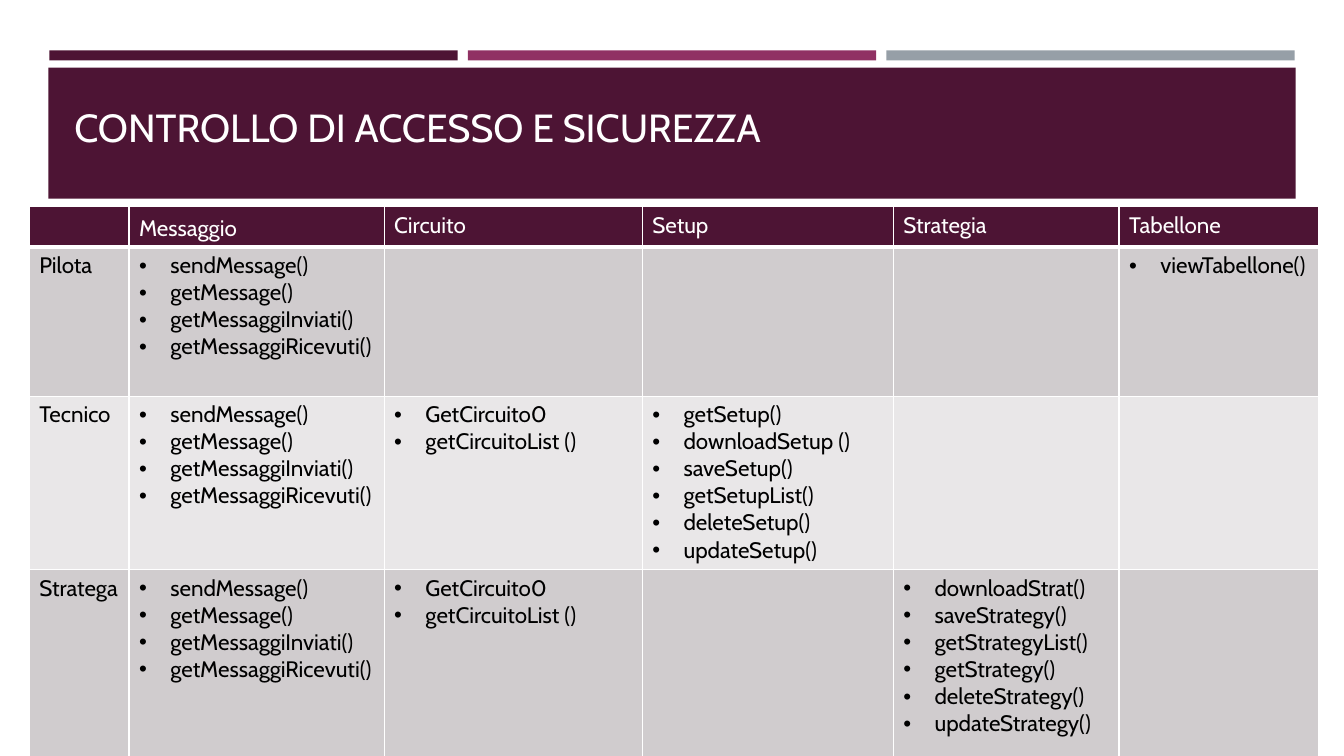
from lxml import etree
from pptx import Presentation
from pptx.dml.color import RGBColor
from pptx.enum import shapes, text
from pptx.oxml import ns
from pptx.util import Inches, Pt

FONT = "Cabin"
WINE = RGBColor(0x4D, 0x14, 0x34)
PLUM = RGBColor(0x90, 0x31, 0x63)
GREY = RGBColor(0x96, 0x9F, 0xA7)
DARK = RGBColor(0xD0, 0xCC, 0xCE)
LIGHT = RGBColor(0xE9, 0xE7, 0xE8)
WHITE = RGBColor(0xFF, 0xFF, 0xFF)
BLACK = RGBColor(0, 0, 0)

TITLE = "CONTROLLO DI ACCESSO E SICUREZZA"
HEADS = ["", "Messaggio", "Circuito", "Setup", "Strategia", "Tabellone"]
MAIL = ["sendMessage()", "getMessage()", "getMessaggiInviati()", "getMessaggiRicevuti()"]
TRACK = ["GetCircuito0", "getCircuitoList ()"]
SETUP = ["getSetup()", "downloadSetup ()", "saveSetup()", "getSetupList()",
         "deleteSetup()", "updateSetup()"]
PLAN = ["downloadStrat()", "saveStrategy()", "getStrategyList()", "getStrategy()",
        "deleteStrategy()", "updateStrategy()"]
ROLES = [
    ("Pilota", MAIL, [], [], [], ["viewTabellone()"]),
    ("Tecnico", MAIL, TRACK, SETUP, [], []),
    ("Stratega", MAIL, TRACK, [], PLAN, []),
]
WIDTHS = [0.99, 2.53, 2.56, 2.49, 2.24, 1.98]
HEIGHTS = [0.39, 1.48, 1.72, 1.98]
BARS = [WINE, PLUM, GREY]
BAR_X, BAR_W, BAR_STEP = 0.49, 4.05, 4.15
INDENT = 0.31


def write(frame, lines, size=16, color=BLACK, bullet=False):
    for i, line in enumerate(lines):
        para = frame.paragraphs[0] if i == 0 else frame.add_paragraph()
        para.alignment = text.PP_ALIGN.LEFT
        run = para.add_run()
        run.text = line
        font = run.font
        font.name, font.size, font.bold = FONT, Pt(size), False
        font.color.rgb = color
        if bullet:
            props = para._p.get_or_add_pPr()
            props.set("marL", str(Inches(INDENT)))
            props.set("indent", str(-Inches(INDENT)))
            etree.SubElement(props, ns.qn("a:buFont"), typeface="Arial")
            etree.SubElement(props, ns.qn("a:buChar"), char="•")


def block(slide, x, y, w, h, color):
    rect = slide.shapes.add_shape(shapes.MSO_SHAPE.RECTANGLE,
                                  Inches(x), Inches(y), Inches(w), Inches(h))
    rect.shadow.inherit = False
    rect.fill.solid()
    rect.fill.fore_color.rgb = color
    rect.line.fill.background()


def paint(cell, color, top, bottom):
    """Fill a cell and give it white borders; top and bottom are widths in points."""
    cell.fill.solid()
    cell.fill.fore_color.rgb = color
    props = cell._tc.get_or_add_tcPr()
    sides = [("L", 1), ("R", 1), ("T", top), ("B", bottom)]
    for i, (side, width) in enumerate(sides):
        edge = etree.Element(ns.qn(f"a:ln{side}"), w=str(Pt(width)))
        fill = etree.SubElement(edge, ns.qn("a:solidFill"))
        etree.SubElement(fill, ns.qn("a:srgbClr"), val=str(WHITE))
        props.insert(i, edge)


def add_grid(slide):
    grid = slide.shapes.add_table(
        len(HEIGHTS), len(WIDTHS), Inches(0.29), Inches(2.05),
        Inches(sum(WIDTHS)), Inches(sum(HEIGHTS))).table
    grid.first_row = grid.horz_banding = False
    for col, width in zip(grid.columns, WIDTHS):
        col.width = Inches(width)
    for row, height in zip(grid.rows, HEIGHTS):
        row.height = Inches(height)

    for c, head in enumerate(HEADS):
        cell = grid.cell(0, c)
        paint(cell, WINE, 1, 3)
        if head:
            write(cell.text_frame, [head], color=WHITE)
    mail = grid.cell(0, 1)
    mail.margin_top, mail.margin_bottom = Inches(0.08), Inches(0.02)

    for r, (role, *calls) in enumerate(ROLES, 1):
        for c, lines in enumerate([[role], *calls]):
            cell = grid.cell(r, c)
            paint(cell, DARK if r % 2 else LIGHT, 3 if r == 1 else 1, 1)
            write(cell.text_frame, lines, bullet=c > 0)


def main():
    deck = Presentation()
    deck.slide_width, deck.slide_height = Inches(13.33), Inches(7.5)
    slide = deck.slides.add_slide(deck.slide_layouts[6])

    for i, color in enumerate(BARS):
        block(slide, BAR_X + i * BAR_STEP, 0.5, BAR_W, 0.1, color)
    block(slide, 0.48, 0.67, 12.37, 1.3, WINE)

    frame = slide.shapes.add_textbox(Inches(0.64), Inches(0.88),
                                     Inches(12.06), Inches(1.11)).text_frame
    frame.word_wrap = True
    frame.vertical_anchor = text.MSO_ANCHOR.BOTTOM
    frame.margin_bottom = Inches(0.5)
    write(frame, [TITLE], size=28, color=WHITE)

    add_grid(slide)
    deck.save("out.pptx")


if __name__ == "__main__":
    main()
